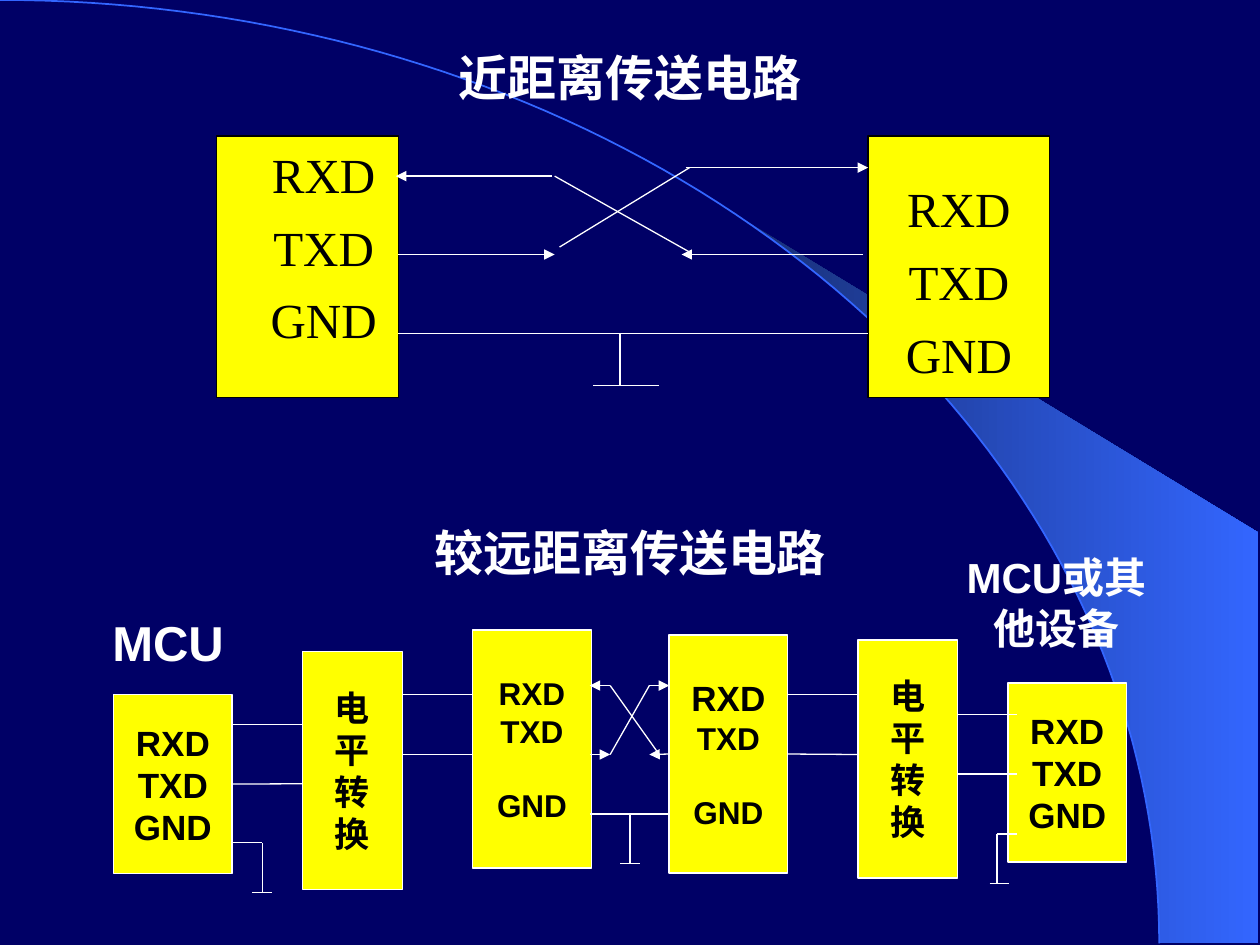
import math

import lxml.etree
import pptx
import pptx.dml.color
import pptx.enum.dml
import pptx.enum.shapes
import pptx.enum.text
import pptx.oxml.ns
import pptx.util

Cm = pptx.util.Cm
Pt = pptx.util.Pt
ANCHOR = pptx.enum.text.MSO_ANCHOR
qn = pptx.oxml.ns.qn


def color(value):
    return pptx.dml.color.RGBColor.from_string(value)


def add_run(p, text, size, font, fill, bold):
    r = p.add_run()
    r.text = text
    r.font.size = Pt(size)
    r.font.name = font
    r.font.bold = bold
    r.font.color.rgb = color(fill)


def block(s, x, y, w, h, lines, sizes, font="Arial", bold=True, edge="FFFFFF",
          gaps=(), top=None, left=0.25):
    sp = s.shapes.add_shape(pptx.enum.shapes.MSO_SHAPE.RECTANGLE,
                            Cm(x), Cm(y), Cm(w), Cm(h))
    sp.shadow.inherit = False
    sp.fill.solid()
    sp.fill.fore_color.rgb = color("FFFF00")
    sp.line.color.rgb = color(edge)
    sp.line.width = Pt(0.75)
    tf = sp.text_frame
    tf.word_wrap = True
    tf.margin_left = Cm(left)
    tf.vertical_anchor = ANCHOR.MIDDLE
    if top is not None:
        tf.vertical_anchor = ANCHOR.TOP
        tf.margin_top = Cm(top)
    for i, (text, size) in enumerate(zip(lines, sizes)):
        p = tf.paragraphs[0] if i == 0 else tf.add_paragraph()
        p.alignment = pptx.enum.text.PP_ALIGN.CENTER
        if gaps and gaps[i]:
            p.space_before = Pt(gaps[i])
        add_run(p, text, size, font, "000000", bold)
    return sp


def wire(s, x1, y1, x2, y2, arrow=False, start=None):
    c = s.shapes.add_connector(pptx.enum.shapes.MSO_CONNECTOR.STRAIGHT,
                               Cm(x1), Cm(y1), Cm(x2), Cm(y2))
    c.line.color.rgb = color("FFFFFF")
    c.line.width = Pt(0.75)
    props = c.line._get_or_add_ln()
    if arrow:
        lxml.etree.SubElement(props, qn("a:tailEnd"), type="triangle")
    lxml.etree.SubElement(props.getparent(), qn("a:effectLst"))
    if start:
        c.begin_connect(*start)


def ground(s, x, y, h, left, right):
    wire(s, x, y, x, y + h)
    wire(s, x - left, y + h, x + right, y + h)


def label(s, x, y, w, h, text, size):
    tf = s.shapes.add_textbox(Cm(x), Cm(y), Cm(w), Cm(h)).text_frame
    tf.word_wrap = True
    tf.auto_size = pptx.enum.text.MSO_AUTO_SIZE.SHAPE_TO_FIT_TEXT
    p = tf.paragraphs[0]
    p.alignment = pptx.enum.text.PP_ALIGN.CENTER
    add_run(p, text, size, "Arial", "FFFFFF", True)


def outline(s, points, close):
    pts = [(Cm(x), Cm(y)) for x, y in points]
    fb = s.shapes.build_freeform(*pts[0])
    fb.add_line_segments(pts[1:], close=close)
    sp = fb.convert_to_shape()
    sp.shadow.inherit = False
    return sp


def backdrop(s, w, h):
    s.background.fill.solid()
    s.background.fill.fore_color.rgb = color("000066")
    rx, ry, beam_x, right = 23.37, h, 14.96, w

    def arc(start, steps):
        angles = [start + (math.pi / 2 - start) * i / steps for i in range(steps + 1)]
        return [(rx * math.sin(a), ry * (1 - math.cos(a))) for a in angles]

    edge = arc(math.asin(beam_x / rx), 40)
    beam = outline(s, edge + [(right, ry), (right, 10.74)], True)
    beam.line.fill.background()
    beam.fill.gradient()
    beam.fill.gradient_angle = 0
    for stop, value in zip(beam.fill.gradient_stops, ("182F76", "3366FF")):
        stop.color.rgb = color(value)

    curve = outline(s, arc(0, 80), False)
    curve.fill.background()
    curve.line.color.rgb = color("3366FF")
    curve.line.width = Pt(1)


def near_circuit(s, x, y):
    w, h, right = 3.66, 5.28, 13.13
    for dx, top, left in ((0, 0.17, 0.9), (right, 0.86, 0.25)):
        block(s, x + dx, y, w, h, ("RXD", "TXD", "GND"), (28,) * 3,
              "Times New Roman", False, "000000", (0, 8, 8), top, left)
    for x1, y1, x2, y2, arrow in (
            (6.76, 0.81, 3.61, 0.81, True),
            (9.45, 0.64, right, 0.64, True),
            (w, 2.39, 6.81, 2.39, True),
            (13.03, 2.39, 9.37, 2.39, True),
            (6.81, 0.81, 9.53, 2.34, False),
            (6.91, 2.24, 9.53, 0.64, False),
            (w, 3.99, right, 3.99, False)):
        wire(s, x + x1, y + y1, x + x2, y + y2, arrow)
    ground(s, x + 8.13, y + 3.99, 1.04, 0.54, 0.79)


def far_circuit(s, x, y):
    pins = ("RXD", "TXD", "GND")
    level = "电平转换"
    wide, narrow, short, tall = 2.39, 2.01, 3.61, 4.8
    mcu = block(s, x, y + 1.3, wide, short, pins, (20,) * 3)
    block(s, x + 3.81, y + 0.43, narrow, tall, level, (20,) * 4)
    block(s, x + 7.24, y, wide, tall, pins, (18,) * 3, gaps=(0, 0, 21))
    port = block(s, x + 11.2, y + 0.1, wide, tall, pins, (20, 18, 18), gaps=(0, 0, 21))
    block(s, x + 15.01, y + 0.2, narrow, tall, level, (20,) * 4)
    block(s, x + 18.03, y + 1.07, wide, short, pins, (20,) * 3)

    for x1, x2, row, arrow, start in (
            (2.39, 3.81, 1.91, False, None),
            (2.39, 3.81, 3.1, False, (mcu, 3)),
            (2.39, 3.0, 4.29, False, None),
            (5.82, 7.24, 1.3, False, None),
            (5.82, 7.24, 2.51, False, None),
            (10.01, 9.6, 1.12, True, None),
            (10.8, 11.2, 1.12, True, None),
            (9.6, 10.01, 2.51, True, None),
            (11.2, 10.8, 2.51, True, (port, 1)),
            (9.6, 11.2, 3.71, False, None),
            (13.59, 15.01, 1.3, False, None),
            (13.59, 15.01, 2.51, False, (port, 3)),
            (17.02, 18.21, 1.7, False, None),
            (17.02, 18.21, 2.9, False, None),
            (17.81, 18.21, 4.11, False, None)):
        wire(s, x + x1, y + row, x + x2, y + row, arrow, start)
    wire(s, x + 10.01, y + 1.12, x + 11, y + 2.51)
    wire(s, x + 10.8, y + 1.12, x + 10.01, y + 2.51)
    for dx, dy, left, right in ((3.0, 4.29, 0.2, 0.2), (10.41, 3.71, 0.2, 0.2),
                                (17.81, 4.11, 0.15, 0.25)):
        ground(s, x + dx, y + dy, 1, left, right)


def main():
    prs = pptx.Presentation()
    prs.slide_width, prs.slide_height = Cm(25.4), Cm(19.05)
    s = prs.slides.add_slide(prs.slide_layouts[6])
    backdrop(s, 25.37, 19.02)
    near_circuit(s, 4.37, 2.74)
    far_circuit(s, 2.29, 12.7)
    label(s, 0.89, 12.22, 5, 1.45, "MCU", 28)
    label(s, 19.1, 11, 4.39, 2.29, "MCU或其他设备", 24)
    label(s, 8.26, 10.41, 8.89, 1.45, "较远距离传送电路", 28)
    label(s, 8.26, 0.84, 8.89, 1.45, "近距离传送电路", 28)
    prs.save("out.pptx")


if __name__ == "__main__":
    main()
